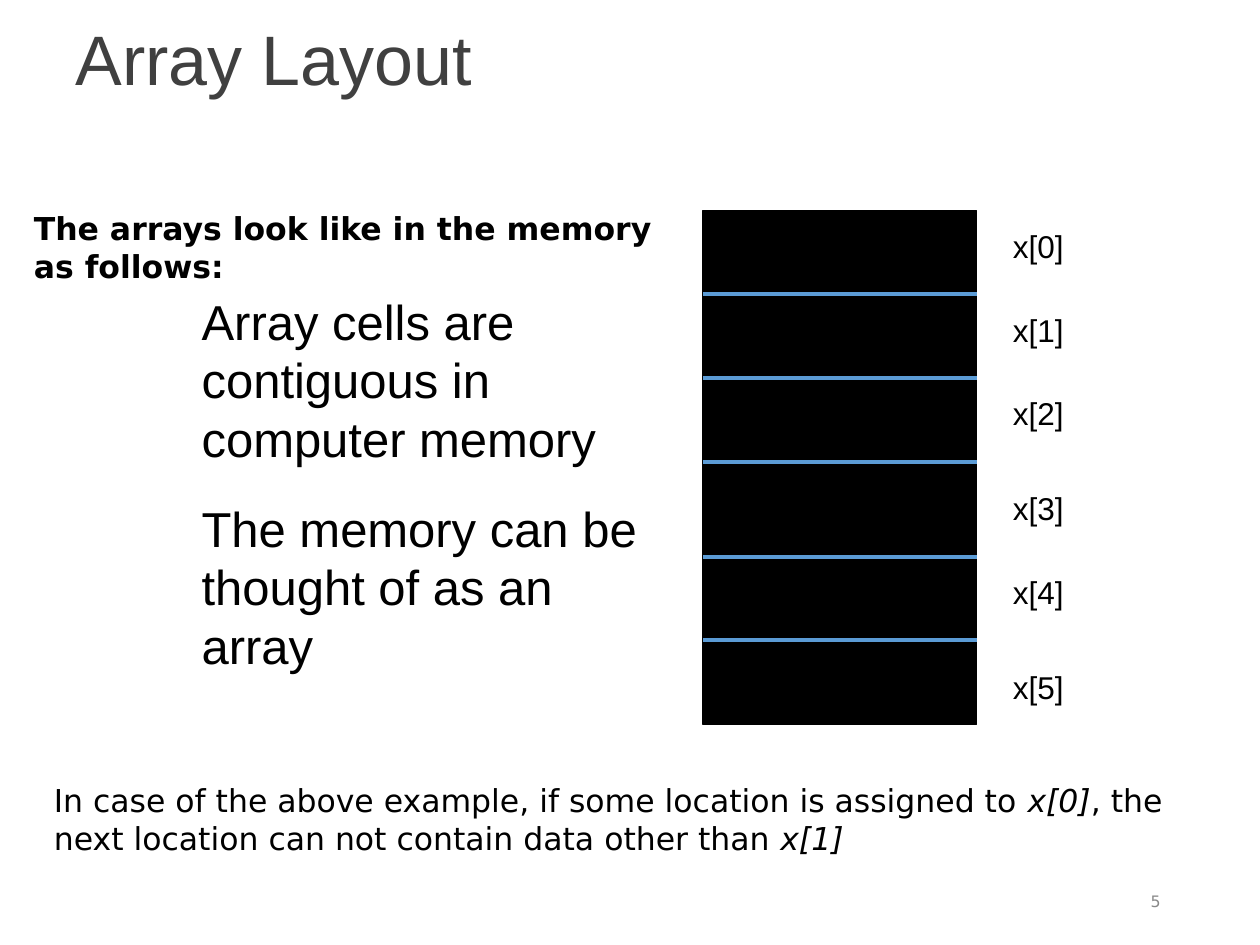
"""Build the Array Layout slide, showing array cells side by side in memory."""
from lxml import etree
from pptx import Presentation
from pptx import util as u
from pptx.dml.color import RGBColor
from pptx.enum import shapes, text
from pptx.oxml.ns import qn

COLORS = {"title": "404040", "text": "000000", "memory": "000000",
          "divider": "5B9BD5", "number": "898989"}
FONTS = {
    "title": {"name": "Arial", "size": u.Pt(40)},
    "list": {"name": "Arial", "size": u.Pt(28)},
    "label": {"name": "Arial", "size": u.Pt(18)},
    "lead": {"name": "DejaVu Sans", "size": u.Pt(18), "bold": True},
    "note": {"name": "DejaVu Sans", "size": u.Pt(18)},
    "number": {"name": "DejaVu Sans", "size": u.Pt(9)},
}
CELL_LEFT, CELL_RIGHT = 5.58, 7.75
MEMORY_TOP, MEMORY_HEIGHT = 1.67, 4.08
DIVIDER_TOPS = [2.33, 3, 3.67, 4.42, 5.08]
LABEL_TOPS = [1.75, 2.42, 3.08, 3.83, 4.5, 5.25]


def rgb(name):
    """Return the named colour."""
    return RGBColor.from_string(COLORS[name])


def assign(target, values):
    """Set every attribute given in values on target."""
    for name, value in values.items():
        setattr(target, name, value)


class SlideBuilder:
    """Hold the style and the current slide, and add elements to it."""

    def __init__(self, page, fonts):
        """Keep the page and its font styles."""
        self.page = page
        self.fonts = fonts

    def place(self, shape, left, top, width, height):
        """Move and size a shape, in inches."""
        assign(shape, {"left": u.Inches(left), "top": u.Inches(top),
                       "width": u.Inches(width), "height": u.Inches(height)})

    def fill_paragraph(self, para, spans, style, color="text", **layout):
        """Fill a paragraph with (words, italic) spans in one style."""
        assign(para, layout)
        for words, italic in spans:
            span = para.add_run()
            span.text = words
            assign(span.font, {**self.fonts[style], "italic": italic})
            span.font.color.rgb = rgb(color)

    def title(self, words, *area):
        """Fill the title placeholder."""
        box = self.page.shapes.title
        self.place(box, *area)
        assign(box.text_frame, {"auto_size": text.MSO_AUTO_SIZE.NONE,
                                "vertical_anchor": text.MSO_ANCHOR.MIDDLE})
        self.fill_paragraph(box.text_frame.paragraphs[0], [(words, False)],
                            "title", "title",
                            alignment=text.PP_ALIGN.LEFT, line_spacing=0.9)

    def body(self, items, *area):
        """Fill the body placeholder with an unbulleted list."""
        box = self.page.placeholders[1]
        self.place(box, *area)
        frame = box.text_frame
        frame.auto_size = text.MSO_AUTO_SIZE.NONE
        for index, words in enumerate(items):
            para = frame.add_paragraph() if index else frame.paragraphs[0]
            properties = para._p.get_or_add_pPr()
            properties.set("marL", "0")
            properties.set("indent", "0")
            etree.SubElement(properties, qn("a:buNone"))
            self.fill_paragraph(para, [(words, False)], "list",
                                space_before=u.Pt(17.5 if index else 0))

    def text_box(self, spans, style, *area, color="text", wrap=True,
                 align=text.PP_ALIGN.LEFT, anchor=text.MSO_ANCHOR.TOP):
        """Add a text box of one paragraph."""
        box = self.page.shapes.add_textbox(*map(u.Inches, area))
        assign(box.text_frame, {"word_wrap": wrap, "vertical_anchor": anchor})
        self.fill_paragraph(box.text_frame.paragraphs[0], spans, style, color,
                            alignment=align)

    def rectangle(self, color, *area):
        """Add a filled rectangle with a thin outline."""
        box = self.page.shapes.add_shape(
            shapes.MSO_SHAPE.RECTANGLE, *map(u.Inches, area))
        box.shadow.inherit = False
        box.fill.solid()
        box.fill.fore_color.rgb = rgb(color)
        box.line.color.rgb = rgb(color)
        box.line.width = u.Pt(0.75)

    def line(self, color, *ends):
        """Add a straight line."""
        line = self.page.shapes.add_connector(
            shapes.MSO_CONNECTOR.STRAIGHT, *map(u.Inches, ends))
        line.line.color.rgb = rgb(color)
        line.line.width = u.Pt(2.25)
        etree.SubElement(line._element.spPr, qn("a:effectLst"))


def main():
    """Build and save the deck."""
    deck = Presentation()
    assign(deck, {"slide_width": u.Inches(10), "slide_height": u.Inches(7.5)})
    builder = SlideBuilder(deck.slides.add_slide(deck.slide_layouts[1]), FONTS)

    builder.title("Array Layout", 0.5, 0.08, 9, 0.83)
    builder.rectangle("memory", CELL_LEFT, MEMORY_TOP,
                      CELL_RIGHT - CELL_LEFT, MEMORY_HEIGHT)
    for top in DIVIDER_TOPS:
        builder.line("divider", CELL_LEFT, top, CELL_RIGHT, top)
    for index, top in enumerate(LABEL_TOPS):
        builder.text_box([(f"x[{index}]", False)], "label",
                         7.94, top, 0.6, 0.4, wrap=False)
    builder.body(["Array cells are contiguous in computer memory",
                  "The memory can be thought of as an array"], 1.5, 2.26, 3.92, 3.15)
    builder.text_box([("The arrays look like in the memory as follows:", False)],
                     "lead", 0.17, 1.61, 5.25, 0.7)
    builder.text_box(
        [("In case of the above example, if some location is assigned to ", False),
         ("x[0]", True),
         (", the next location can not contain data other than ", False),
         ("x[1]", True)], "note", 0.33, 6.15, 9.16, 0.7)
    builder.text_box([("5", False)], "number", 7.06, 6.95, 2.25, 0.4, color="number",
                     align=text.PP_ALIGN.RIGHT, anchor=text.MSO_ANCHOR.MIDDLE)
    deck.save("out.pptx")


if __name__ == "__main__":
    main()
